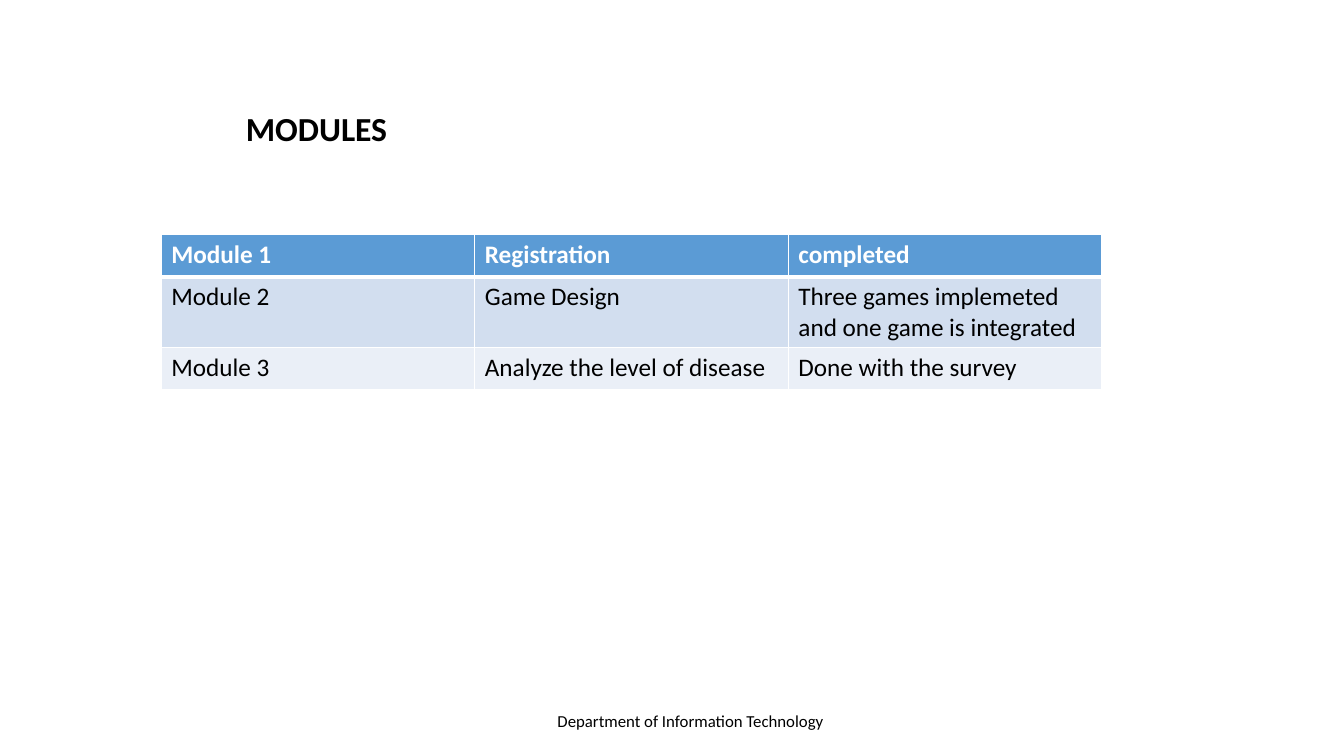
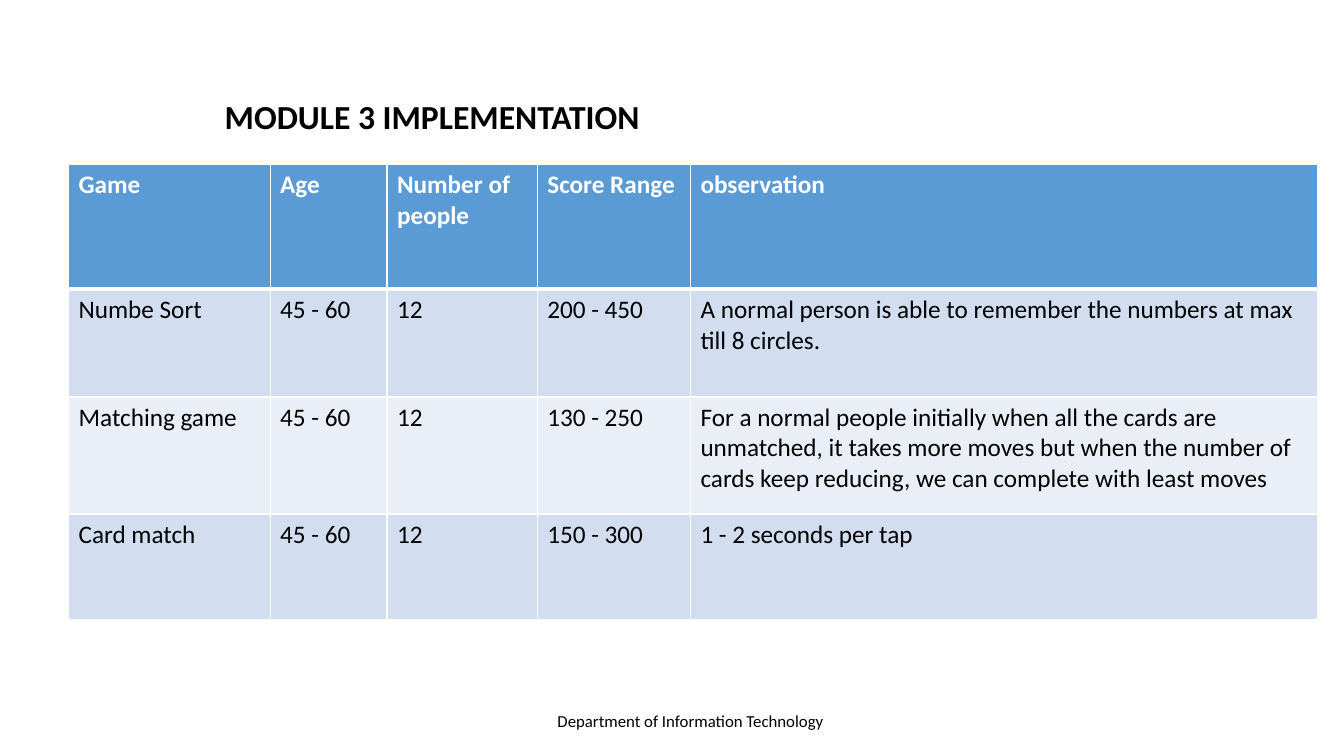
from dataclasses import dataclass

from lxml import etree
from pptx import Presentation
from pptx import util as u
from pptx.dml.color import RGBColor
from pptx.enum import text
from pptx.oxml.ns import qn

WIDE, HIGH = u.Inches(13.33), u.Inches(7.5)
HUES = {"ink": "000000", "paper": "FFFFFF", "head": "5B9BD5",
        "dark": "D2DEEF", "light": "EAEFF7"}
FONTS = {
    "title": {"size": u.Pt(24), "bold": True, "hue": "ink"},
    "foot": {"size": u.Pt(12), "bold": False, "hue": "ink"},
    "head": {"size": u.Pt(18), "bold": True, "hue": "paper"},
    "body": {"size": u.Pt(18), "bold": False, "hue": "ink"},
}


@dataclass
class Label:
    """Text with its box in percent of the slide."""
    words: str
    left: float
    top: float
    width: float
    height: float
    font: str = "title"


@dataclass
class Grid:
    """Table with its corner, columns and rows in percent of the slide."""
    left: float
    top: float
    cols: list[float]
    rows: list[float]
    cells: list[list[str]]


@dataclass
class Page:
    """One slide: a title above a table."""
    title: Label
    grid: Grid


FOOT = Label("Department of Information Technology", 40.74, 93.33, 21.6, 6.67, "foot")
PAGES = [
    Page(
        Label("MODULES", 17.55, 13.6, 12, 6.67),
        Grid(12, 31.07, [23.33] * 3, [5.56] * 3, [
            ["Module 1", "Registration", "completed"],
            ["Module 2", "Game Design",
             "Three games implemeted and one game is integrated"],
            ["Module 3", "Analyze the level of disease", "Done with the survey"],
        ]),
    ),
    Page(
        Label("MODULE 3 IMPLEMENTATION", 15.98, 12, 32.4, 12.13),
        Grid(5.1, 21.73, [15, 8.7, 11.18, 11.4, 46.65], [16.53, 14.27, 15.47, 14], [
            ["Game", "Age", "Number of people", "Score Range", "observation"],
            ["Numbe Sort", "45 - 60", "12", "200 - 450",
             "A normal person is able to remember the numbers at max till 8 circles."],
            ["Matching game", "45 - 60", "12", "130 - 250",
             "For a normal people initially when all the cards are unmatched, "
             "it takes more moves but when the number of cards keep reducing, "
             "we can complete with least moves"],
            ["Card match", "45 - 60", "12", "150 - 300", "1 - 2 seconds per tap"],
        ]),
    ),
]


def across(share: float) -> int:
    """Turn a percentage of the slide's width into a length."""
    return round(WIDE * share / 100)


def down(share: float) -> int:
    """Turn a percentage of the slide's height into a length."""
    return round(HIGH * share / 100)


def write(frame, words: str, kind: str) -> None:
    """Put words into a frame in one of the shared fonts."""
    run = frame.paragraphs[0].add_run()
    run.text = words
    run.font.name = "Calibri"
    for key, value in FONTS[kind].items():
        if key == "hue":
            run.font.color.rgb = RGBColor.from_string(HUES[value])
        else:
            setattr(run.font, key, value)


def label(slide, item: Label) -> None:
    """Draw a label that does not wrap."""
    box = slide.shapes.add_textbox(across(item.left), down(item.top),
                                   across(item.width), down(item.height))
    frame = box.text_frame
    frame.word_wrap = False
    frame.auto_size = text.MSO_AUTO_SIZE.SHAPE_TO_FIT_TEXT
    write(frame, item.words, item.font)


def edge(cell, row: int) -> None:
    """Rule a cell, with a thick line under the head row."""
    props = cell._tc.get_or_add_tcPr()
    widths = {"L": 1, "R": 1, "T": 3 if row == 1 else 1, "B": 3 if row == 0 else 1}
    for side, width in widths.items():
        line = etree.SubElement(props, qn(f"a:ln{side}"), w=str(u.Pt(width)))
        fill = etree.SubElement(line, qn("a:solidFill"))
        etree.SubElement(fill, qn("a:srgbClr"), val=HUES["paper"])


def table(slide, grid: Grid) -> None:
    """Draw a table with a head row and banded body."""
    shape = slide.shapes.add_table(
        len(grid.rows), len(grid.cols), across(grid.left), down(grid.top),
        across(sum(grid.cols)), down(sum(grid.rows)))
    tab = shape.table
    for col, share in zip(tab.columns, grid.cols):
        col.width = across(share)
    for row, share in zip(tab.rows, grid.rows):
        row.height = down(share)
    for r, line in enumerate(grid.cells):
        hue = "head" if r == 0 else ("light", "dark")[r % 2]
        for c, words in enumerate(line):
            cell = tab.cell(r, c)
            edge(cell, r)
            cell.fill.solid()
            cell.fill.fore_color.rgb = RGBColor.from_string(HUES[hue])
            write(cell.text_frame, words, "body" if r else "head")


def main() -> None:
    """Build and save the slides."""
    deck = Presentation()
    deck.slide_width, deck.slide_height = WIDE, HIGH
    for page in PAGES:
        slide = deck.slides.add_slide(deck.slide_layouts[6])
        label(slide, FOOT)
        label(slide, page.title)
        table(slide, page.grid)
    deck.save("out.pptx")


if __name__ == "__main__":
    main()
